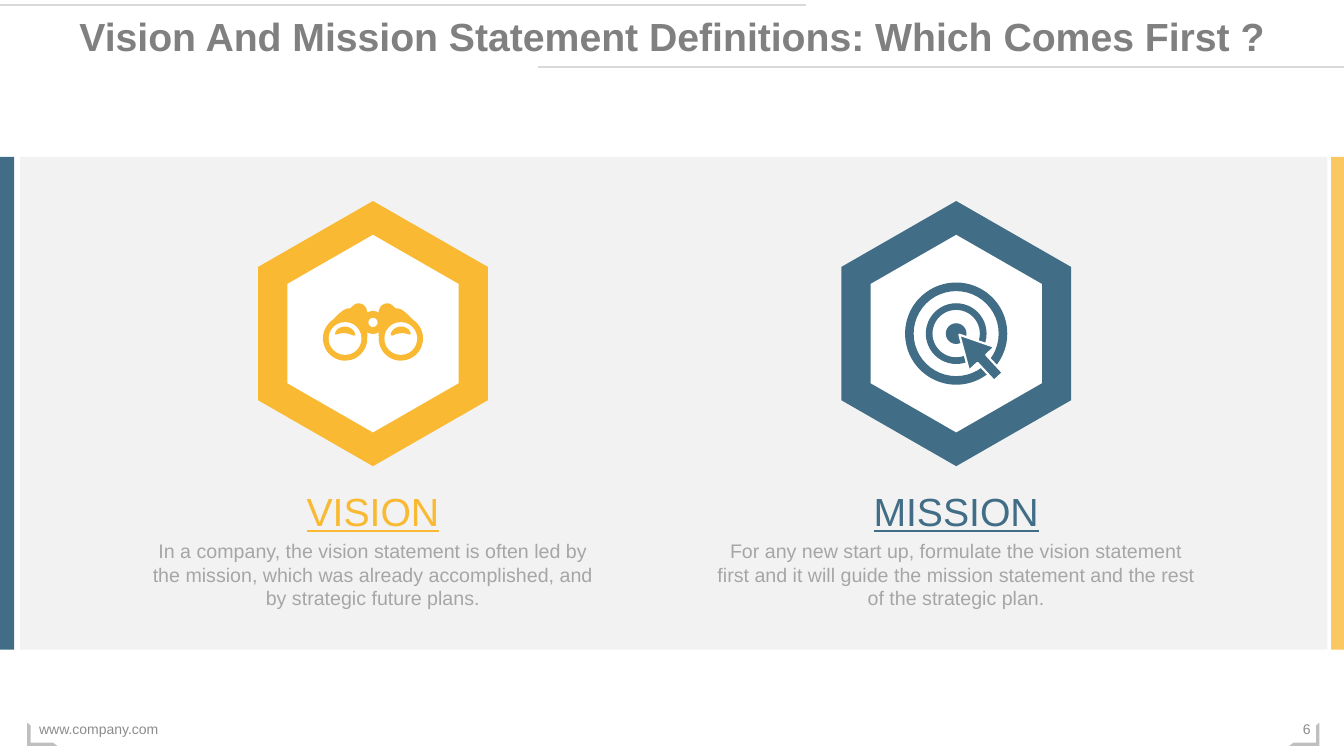
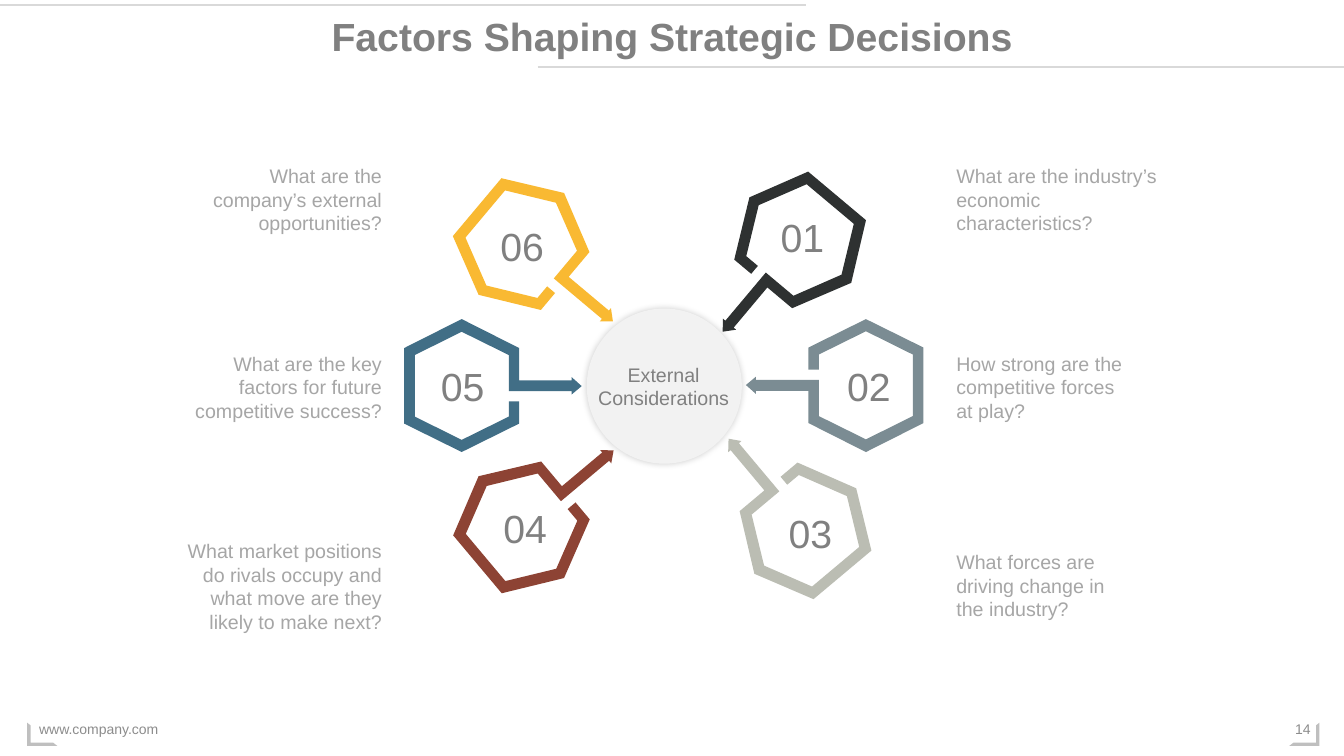
from collections.abc import Callable
from dataclasses import dataclass

from lxml.etree import SubElement
from pptx import Presentation
from pptx.dml.color import RGBColor
from pptx.enum.shapes import MSO_CONNECTOR, MSO_SHAPE
from pptx.enum.text import MSO_ANCHOR, MSO_AUTO_SIZE, PP_ALIGN
from pptx.oxml.ns import qn
from pptx.shapes.autoshape import Shape
from pptx.slide import Slide
from pptx.util import Pt

Point = tuple[float, float]


@dataclass(frozen=True)
class Theme:
    font: str = "Arial"
    heading_size: int = 28
    body_size: int = 14
    footer_size: int = 10
    white: str = "FFFFFF"
    panel: str = "F2F2F2"
    rule: str = "D9D9D9"
    corner: str = "BFBFBF"
    heading: str = "808080"
    body: str = "A6A6A6"
    footer: str = "8C8C8C"
    yellow: str = "F9B932"
    pale_yellow: str = "FAC760"
    blue: str = "416E86"
    red: str = "8D4334"
    sand: str = "BBBDB3"
    slate: str = "7B8C93"
    black: str = "2E3131"


THEME = Theme()
WIDTH, HEIGHT = 960, 540


@dataclass(frozen=True)
class Definition:
    name: str
    text: str
    color: str
    center_x: float
    text_width: float
    draw_icon: Callable[[Slide, float, float, str], None]


@dataclass(frozen=True)
class Factor:
    number: str
    question: str
    color: str
    arrow_center: Point
    angle: float
    number_at: Point
    question_top: float
    question_width: float


def style_text(shape: Shape, text: str, size: float, color: str,
               align: PP_ALIGN = PP_ALIGN.CENTER,
               anchor: MSO_ANCHOR = MSO_ANCHOR.TOP, **extra: bool) -> None:
    frame = shape.text_frame
    frame_format = {"text": text, "word_wrap": True,
                    "auto_size": MSO_AUTO_SIZE.NONE, "vertical_anchor": anchor}
    for name, value in frame_format.items():
        setattr(frame, name, value)
    paragraph = frame.paragraphs[0]
    paragraph.alignment = align
    font = paragraph.runs[0].font
    font_format = {"name": THEME.font, "size": Pt(size), **extra}
    for name, value in font_format.items():
        setattr(font, name, value)
    font.color.rgb = RGBColor.from_string(color)


def add_text(slide: Slide, left: float, top: float, width: float, height: float,
             text: str, size: float, color: str, **options) -> None:
    box = slide.shapes.add_textbox(Pt(left), Pt(top), Pt(width), Pt(height))
    style_text(box, text, size, color, **options)


def paint(shape: Shape, color: str) -> Shape:
    shape.shadow.inherit = False
    shape.fill.solid()
    shape.fill.fore_color.rgb = RGBColor.from_string(color)
    shape.line.fill.background()
    return shape


def add_preset(slide: Slide, kind: MSO_SHAPE, center: Point, width: float, height: float,
               color: str, rotation: float = 0, adjust: tuple[float, ...] = ()) -> Shape:
    """Add a preset shape placed by its centre."""
    x, y = center
    shape = slide.shapes.add_shape(kind, Pt(x - width / 2), Pt(y - height / 2),
                                   Pt(width), Pt(height))
    shape.rotation = rotation
    for index, value in enumerate(adjust):
        shape.adjustments[index] = value
    return paint(shape, color)


def add_circle(slide: Slide, center: Point, radius: float, color: str) -> Shape:
    return add_preset(slide, MSO_SHAPE.OVAL, center, 2 * radius, 2 * radius, color)


def add_outline(slide: Slide, origin: Point, points: list[Point], color: str,
                mirror: int = 1) -> Shape:
    """Add a closed outline given relative to origin; mirror=-1 flips it sideways."""
    vertices = [(Pt(origin[0] + mirror * x), Pt(origin[1] + y)) for x, y in points]
    builder = slide.shapes.build_freeform(*vertices[0], scale=1.0)
    builder.add_line_segments(vertices[1:], close=True)
    return paint(builder.convert_to_shape(), color)


def curve(points: list[Point], steps: int = 8) -> list[Point]:
    """Sample a chain of cubic Bezier segments: a start, then three points for each."""
    samples = [points[0]]
    for first in range(0, len(points) - 1, 3):
        segment = points[first:first + 4]
        for step in range(1, steps + 1):
            t = step / steps
            weights = ((1 - t) ** 3, 3 * t * (1 - t) ** 2, 3 * t * t * (1 - t), t ** 3)
            samples.append((sum(w * x for w, (x, _) in zip(weights, segment)),
                            sum(w * y for w, (_, y) in zip(weights, segment))))
    return samples


BARREL = curve([
    (4, -15.1), (4.7, -20.2), (7.6, -21.6), (10.4, -21.6),
    (12.6, -21.6), (14, -20.2), (16.2, -18), (20.5, -18.7), (24.8, -13.7), (28.4, -10.1),
    (33.5, -6.5), (36.4, 0), (35.6, 5.8),
]) + [(20, 4), (4, 2)]
GLINT = curve([
    (12.6, 0.7), (13.3, -2.9), (16.9, -5), (19.8, -5), (22.7, -5), (26.3, -3.6), (27, 0),
    (27, 0), (27, 0.7), (26.3, 0.7), (22, -0.7), (18.4, -0.7), (14, 1.4),
    (13.3, 1.4), (12.6, 1.4), (12.6, 0.7),
])
HEXAGON_ARROW = [
    (-63.4, 27.2), (-63.4, -26.8), (-22.3, -47.5), (18.7, -26.8), (18.7, -3.7),
    (56.2, -3.7), (56.2, -6), (63.4, 0.4), (56.2, 6.4), (56.2, 4), (11.3, 4),
    (11.3, -21.8), (-22.3, -38.4), (-55.8, -21.8), (-55.8, 22.2), (-22.3, 38.8),
    (11.3, 22.2), (11.3, 11.4), (18.7, 11.4), (18.7, 27.2), (-22.3, 47.5),
]


def draw_binoculars(slide: Slide, x: float, y: float, color: str) -> None:
    for side in (-1, 1):
        lens = (x + side * 19.9, y + 3.5)
        add_outline(slide, (x, y), BARREL, color, side)
        add_circle(slide, lens, 15.8, color)
        add_circle(slide, lens, 11.7, THEME.white)
        add_outline(slide, (x, y), GLINT, color, side)
    add_circle(slide, (x, y - 8), 8.2, color)
    add_circle(slide, (x, y - 8), 3.3, THEME.white)


def draw_target(slide: Slide, x: float, y: float, color: str) -> None:
    for radius, thickness in ((36.5, 0.084), (21.7, 0.11)):
        add_preset(slide, MSO_SHAPE.DONUT, (x, y), 2 * radius, 2 * radius, color,
                   adjust=(thickness,))
    add_circle(slide, (x, y), 7.4, color)
    pointer = add_preset(slide, MSO_SHAPE.LEFT_ARROW, (x + 16.2, y + 15.8), 41, 25, color,
                         rotation=47.1, adjust=(0.34, 0.944))
    pointer.line.color.rgb = RGBColor.from_string(THEME.white)
    pointer.line.width = Pt(1.5)


DEFINITIONS = [
    Definition("VISION", "In a company, the vision statement is often led by the mission, "
               "which was already accomplished, and by strategic future plans.",
               THEME.yellow, 266.4, 342.7, draw_binoculars),
    Definition("MISSION", "For any new start up, formulate the vision statement first and it "
               "will guide the mission statement and the rest of the strategic plan.",
               THEME.blue, 683, 363.6, draw_target),
]
FACTORS = [
    Factor("06", "What are the company’s external opportunities?", THEME.yellow,
           (389.5, 188.6), 40, (349.2, 155.5), 113.8, 152.6),
    Factor("05", "What are the key factors for future competitive success?", THEME.blue,
           (352.1, 275.4), 0, (306.7, 255.6), 247.7, 152.6),
    Factor("04", "What market positions do rivals occupy and what move are they likely "
           "to make next?", THEME.red,
           (389.5, 362.2), -40, (351.4, 356.4), 381.6, 155.5),
    Factor("03", "What forces are driving change in the industry?", THEME.sand,
           (560.9, 362.2), -130, (555.1, 360), 389.5, 143.3),
    Factor("02", "How strong are the competitive forces at play?", THEME.slate,
           (596.2, 275.4), 180, (596.9, 255.6), 247.7, 138.2),
    Factor("01", "What are the industry’s economic characteristics?", THEME.black,
           (557.3, 188.6), 130, (549.4, 149), 113.8, 159.1),
]


def add_rule(slide: Slide, start_x: float, end_x: float, y: float) -> None:
    rule = slide.shapes.add_connector(MSO_CONNECTOR.STRAIGHT,
                                      Pt(start_x), Pt(y), Pt(end_x), Pt(y))
    rule.line.color.rgb = RGBColor.from_string(THEME.rule)
    rule.line.width = Pt(1.5)
    SubElement(rule._element.spPr, qn("a:effectLst"))


def add_base_slide(prs: Presentation, title: str, number: str) -> Slide:
    """Add a title-only slide with the shared rules, title and footer."""
    slide = prs.slides.add_slide(prs.slide_layouts[5])
    add_rule(slide, 0, 576, 3.6)
    add_rule(slide, 384, WIDTH, 48)
    add_preset(slide, MSO_SHAPE.HALF_FRAME, (931.7, 524.5), 21.6, 16.6, THEME.corner,
               rotation=180, adjust=(0.139, 0.148))
    add_preset(slide, MSO_SHAPE.HALF_FRAME, (30.2, 524.5), 16.6, 21.6, THEME.corner,
               rotation=270, adjust=(0.148, 0.139))
    for left, width, text, align in ((20.9, 324, "www.company.com", PP_ALIGN.LEFT),
                                     (913, 30.2, number, PP_ALIGN.RIGHT)):
        add_text(slide, left, 506.2, width, 28.8, text, THEME.footer_size, THEME.footer,
                 align=align, anchor=MSO_ANCHOR.MIDDLE)
    heading = slide.shapes.title
    place = {"left": Pt(0), "top": Pt(5), "width": Pt(WIDTH), "height": Pt(41)}
    for name, value in place.items():
        setattr(heading, name, value)
    style_text(heading, title, THEME.heading_size, THEME.heading, bold=True)
    return slide


def build_definitions(prs: Presentation) -> None:
    slide = add_base_slide(
        prs, "Vision And Mission Statement Definitions: Which Comes First ?", "6")
    for left, width, color in ((14.4, 933.8, THEME.panel), (0, 10.1, THEME.blue),
                               (950.8, 9.2, THEME.pale_yellow)):
        add_preset(slide, MSO_SHAPE.RECTANGLE, (left + width / 2, 288), width, 352, color)
    icon_y = 238.3
    for item in DEFINITIONS:
        x = item.center_x
        for width, height, color in ((189.4, 164.2, item.color), (141.1, 122.4, THEME.white)):
            add_preset(slide, MSO_SHAPE.HEXAGON, (x, icon_y), width, height, color,
                       rotation=90, adjust=(0.287,))
        item.draw_icon(slide, x, icon_y, item.color)
        add_text(slide, x - 76, 344.9, 152, 41, item.name, THEME.heading_size, item.color,
                 underline=True)
        add_text(slide, x - item.text_width / 2, 381.6, item.text_width, 58.3,
                 item.text, THEME.body_size, THEME.body)


def draw_hub(slide: Slide) -> None:
    hub = add_circle(slide, (474.5, 275.8), 55.4, THEME.panel)
    effects = hub._element.spPr.find(qn("a:effectLst"))
    glow = SubElement(effects, qn("a:outerShdw"), blurRad=str(Pt(5)), dist="0", dir="0",
                      algn="ctr", rotWithShape="0")
    tint = SubElement(glow, qn("a:srgbClr"), val="000000")
    SubElement(tint, qn("a:alpha"), val="18000")
    add_text(slide, 414, 255.6, 120.2, 41, "External Considerations",
             THEME.body_size, THEME.heading)


def build_factors(prs: Presentation) -> None:
    slide = add_base_slide(prs, "Factors Shaping Strategic Decisions", "14")
    draw_hub(slide)
    for factor in FACTORS:
        arrow = add_outline(slide, factor.arrow_center, HEXAGON_ARROW, factor.color)
        arrow.rotation = factor.angle
        add_text(slide, *factor.number_at, 47.5, 41, factor.number,
                 THEME.heading_size, THEME.heading)
        on_left = factor.arrow_center[0] < WIDTH / 2
        left = 280 - factor.question_width if on_left else 676
        add_text(slide, left, factor.question_top, factor.question_width, 58.3,
                 factor.question, THEME.body_size, THEME.body,
                 align=PP_ALIGN.RIGHT if on_left else PP_ALIGN.LEFT)


def main() -> None:
    prs = Presentation()
    prs.slide_width, prs.slide_height = Pt(WIDTH), Pt(HEIGHT)
    build_definitions(prs)
    build_factors(prs)
    prs.save("out.pptx")


if __name__ == "__main__":
    main()
